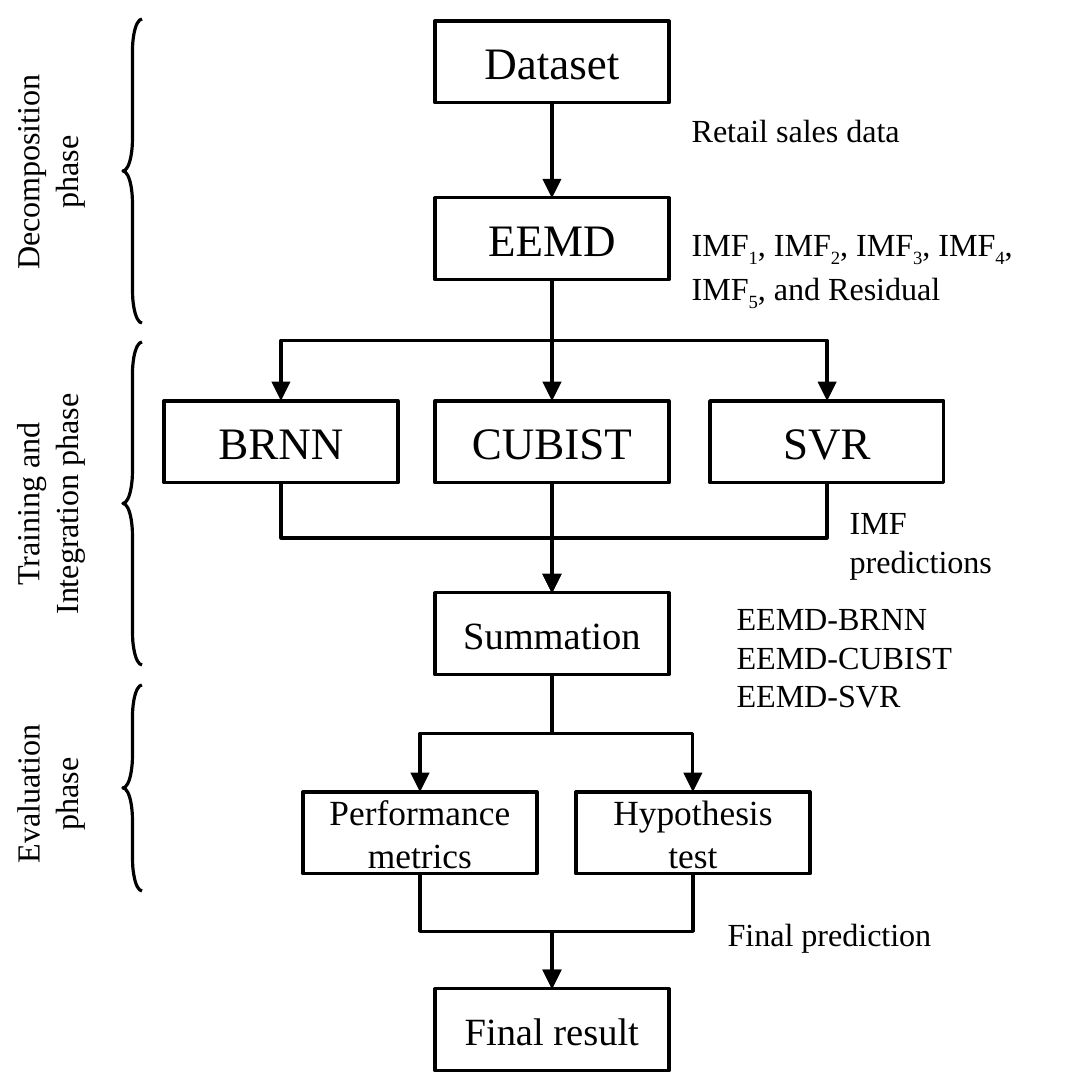
"""Build a flowchart of a three-phase sales forecasting method."""
from lxml import etree
from pptx import Presentation, util as u
from pptx.dml.color import RGBColor
from pptx.enum import shapes as s, text as t
from pptx.oxml.ns import qn

PX = 914400 / 231.4
INK = "000000"


def px(*nums):
    return [u.Emu(round(n * PX)) for n in nums]


def write(shape, words, size, align, anchor):
    frame = shape.text_frame
    for key, val in {"word_wrap": True, "vertical_anchor": anchor}.items():
        setattr(frame, key, val)
    style = {"name": "Times New Roman", "size": u.Pt(size)}
    for row, line in enumerate(words.split("\n")):
        para = frame.add_paragraph() if row else frame.paragraphs[0]
        para.alignment = align
        for part, chunk in enumerate(line.split("|")):
            run = para.add_run()
            run.text = chunk
            for key, val in style.items():
                setattr(run.font, key, val)
            run.font.color.rgb = RGBColor.from_string(INK)
            if part % 2:
                run.font._element.set("baseline", "-25000")


deck = Presentation()
deck.slide_width, deck.slide_height = px(1092, 1092)
slide = deck.slides.add_slide(deck.slide_layouts[6])
items = slide.shapes

WIDE, HIGH = 234, 82
MID = 552
steps = {
    "Dataset": (MID, 21, 14),
    "EEMD": (MID, 198, 14),
    "BRNN": (281, 401, 14),
    "CUBIST": (MID, 401, 14),
    "SVR": (827, 401, 14),
    "Summation": (MID, 593, 12),
    "Performance metrics": (420, 792, 11),
    "Hypothesis test": (693, 792, 11),
    "Final result": (MID, 989, 12),
}
boxes = {}
for name, (x, y, size) in steps.items():
    box = items.add_shape(s.MSO_SHAPE.RECTANGLE, *px(x - WIDE / 2, y, WIDE, HIGH))
    write(box, name, size, t.PP_ALIGN.CENTER, t.MSO_ANCHOR.MIDDLE)
    boxes[name] = box

phases = [
    ("Decomposition phase", 19, 304, 172, 301),
    ("Training and Integration phase", 342, 323, 504, 324),
    ("Evaluation phase", 685, 206, 794, 220),
]
braces = []
for name, top, tall, mid, span in phases:
    brace = items.add_shape(s.MSO_SHAPE.LEFT_BRACE, *px(123, top, 19, tall))
    brace.adjustments[0], brace.adjustments[1] = 1.68, 0.5
    braces.append(brace)
    label = items.add_textbox(*px(47 - span / 2, mid - 51, span, 102))
    label.rotation = 270
    write(label, name, 10, t.PP_ALIGN.CENTER, t.MSO_ANCHOR.TOP)

for shape in [*boxes.values(), *braces]:
    shape.shadow.inherit = False
    shape.fill.background()
    shape.line.color.rgb = RGBColor.from_string(INK)
    shape.line.width = u.Pt(1)

notes = [
    ("Retail sales data", 669, 99, 421, 86),
    ("IMF|1|, IMF|2|, IMF|3|, IMF|4|, IMF|5|, and Residual", 669, 213, 423, 102),
    ("IMF predictions", 827, 491, 240, 102),
    ("EEMD-BRNN\nEEMD-CUBIST\nEEMD-SVR", 714, 587, 280, 140),
    ("Final prediction", 705, 903, 270, 86),
]
for words, *area in notes:
    write(items.add_textbox(*px(*area)), words, 10, t.PP_ALIGN.LEFT, t.MSO_ANCHOR.TOP)

models = ["BRNN", "CUBIST", "SVR"]
tests = ["Performance metrics", "Hypothesis test"]
stages = [["Dataset"], ["EEMD"], models, ["Summation"], tests, ["Final result"]]
links = [(a, b) for up, down in zip(stages, stages[1:]) for a in up for b in down]
for start, stop in links:
    (x1, y1, _), (x2, y2, _) = steps[start], steps[stop]
    y1 += HIGH
    drop, shift = y2 - y1, abs(x2 - x1)
    link = items.add_connector(s.MSO_CONNECTOR.ELBOW, *px(x1, y1, x2, y2))
    link.begin_connect(boxes[start], 2)
    link.end_connect(boxes[stop], 0)
    left, top = (x1 + x2 - drop) / 2, (y1 + y2 - shift) / 2
    for key, val in zip(("left", "top", "width", "height"), px(left, top, drop, shift)):
        setattr(link, key, val)
    right = x2 > x1
    form = link._element.spPr.xfrm
    for key, val in {"rot": 16200000 if right else 5400000, "flipH": int(right), "flipV": 0}.items():
        form.set(key, str(val))
    link.line.color.rgb = RGBColor.from_string(INK)
    link.line.width = u.Pt(1)
    etree.SubElement(link.line._get_or_add_ln(), qn("a:tailEnd"), type="triangle")
    etree.SubElement(link._element.spPr, qn("a:effectLst"))

deck.save("out.pptx")
